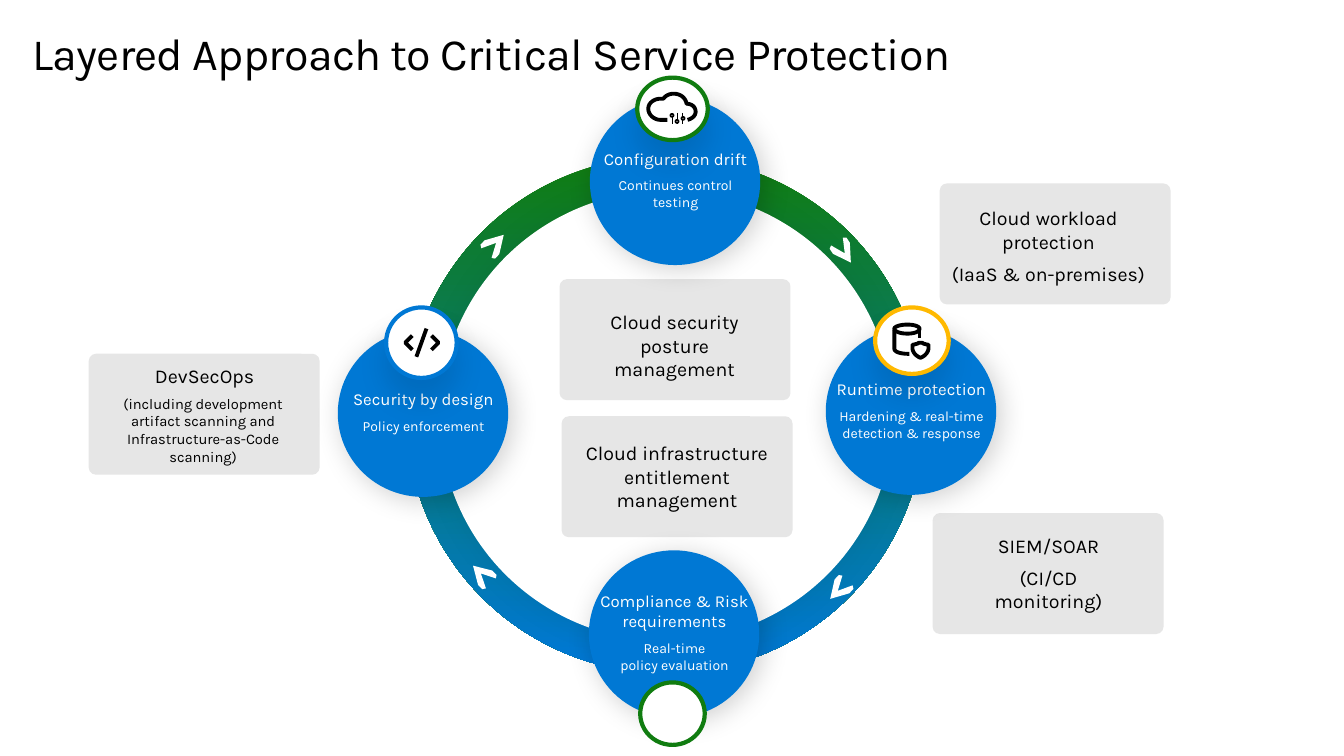
from dataclasses import dataclass

from lxml import etree
from pptx import Presentation
from pptx.dml.color import RGBColor
from pptx.enum.shapes import MSO_SHAPE
from pptx.enum.text import MSO_ANCHOR, MSO_AUTO_SIZE, PP_ALIGN
from pptx.oxml.ns import qn
from pptx.util import Inches, Pt

OVAL = MSO_SHAPE.OVAL
ROUNDED = MSO_SHAPE.ROUNDED_RECTANGLE
MIDDLE = MSO_ANCHOR.MIDDLE
TOP = MSO_ANCHOR.TOP
GROW = MSO_AUTO_SIZE.SHAPE_TO_FIT_TEXT
FIXED = MSO_AUTO_SIZE.NONE
LEFT = PP_ALIGN.LEFT
CENTER = PP_ALIGN.CENTER


@dataclass(frozen=True)
class Theme:
    font: str = "Karla"
    black: str = "000000"
    white: str = "FFFFFF"
    blue: str = "0078D4"
    green: str = "107C10"
    amber: str = "FFB900"
    gray: str = "E6E6E6"
    title: float = 32
    label: float = 14
    stage: float = 12
    note: float = 10.5
    detail: float = 10
    badge_line: float = 3
    icon_line: float = 2.75
    fine_line: float = 1.25


def outline_points(commands):
    strokes = []
    for chunk in commands.split("M")[1:]:
        closed = chunk.strip().endswith("Z")
        tokens = chunk.replace("Z", "").split()
        points = [(float(tokens[0]), float(tokens[1]))]
        curve = False
        numbers = []
        for token in tokens[2:]:
            if token in "LC":
                curve = token == "C"
                continue
            numbers.append(float(token))
            if len(numbers) == (6 if curve else 2):
                ends = [points[-1], *zip(numbers[::2], numbers[1::2])]
                points += bezier(ends) if curve else ends[1:]
                numbers = []
        strokes.append((points, closed))
    return strokes


def bezier(ends, steps=8):
    points = []
    for step in range(1, steps + 1):
        t = step / steps
        weights = ((1 - t) ** 3, 3 * t * (1 - t) ** 2, 3 * t * t * (1 - t), t ** 3)
        points.append(tuple(sum(w * end[axis] for w, end in zip(weights, ends))
                            for axis in (0, 1)))
    return points


class Painter:
    def __init__(self, page, theme):
        self.page = page
        self.theme = theme

    def paint(self, shape, fill=None, line=None, width=1, shadow=None):
        shape.shadow.inherit = False
        if fill:
            shape.fill.solid()
            shape.fill.fore_color.rgb = RGBColor.from_string(fill)
        else:
            shape.fill.background()
        if line:
            shape.line.color.rgb = RGBColor.from_string(line)
            shape.line.width = Pt(width)
        else:
            shape.line.fill.background()
        if shadow:
            self.cast_shadow(shape, *shadow)
        return shape

    def cast_shadow(self, shape, alpha, blur, distance, angle):
        effects = shape.element.spPr.find(qn("a:effectLst"))
        outer = etree.SubElement(effects, qn("a:outerShdw"), blurRad=str(Pt(blur)),
                                 dist=str(Pt(distance)), dir=str(angle * 60000),
                                 algn="ctr", rotWithShape="0")
        color = etree.SubElement(outer, qn("a:srgbClr"), val=self.theme.black)
        etree.SubElement(color, qn("a:alpha"), val=str(alpha * 1000))

    def shape(self, kind, area, fill, **style):
        shape = self.page.shapes.add_shape(kind, *map(Inches, area))
        return self.paint(shape, fill, **style)

    def ring(self, outer, inner):
        band = self.shape(OVAL, outer, self.theme.blue)
        band.fill.gradient()
        band.fill.gradient_angle = 270
        stops = zip(band.fill.gradient_stops, (0, 0.98), (self.theme.green, self.theme.blue))
        for stop, position, color in stops:
            stop.position = position
            stop.color.rgb = RGBColor.from_string(color)
        self.shape(OVAL, inner, self.theme.white, shadow=(5, 20, 0, 0))

    def card(self, left, top):
        card = self.shape(ROUNDED, (left, top, 2.29, 1.2), self.theme.gray)
        card.adjustments[0] = 0.06

    def add_text(self, para, text, size, color):
        for index, part in enumerate(text.split("\n")):
            if index:
                para.add_line_break()
            span = para.add_run()
            span.text = part
            span.font.name = self.theme.font
            span.font.size = Pt(size)
            span.font.color.rgb = RGBColor.from_string(color)

    def text(self, area, lines, color, after=6):
        box = self.page.shapes.add_textbox(*map(Inches, area))
        frame = box.text_frame
        frame.word_wrap = True
        frame.vertical_anchor = MIDDLE
        frame.auto_size = GROW
        for index, (text, size) in enumerate(lines):
            para = frame.add_paragraph() if index else frame.paragraphs[0]
            para.alignment = CENTER
            para.space_after = Pt(after)
            self.add_text(para, text, size, color)

    def title(self, area, text):
        box = self.page.shapes.title
        box.left, box.top, box.width, box.height = map(Inches, area)
        frame = box.text_frame
        frame.margin_left = frame.margin_top = frame.margin_right = frame.margin_bottom = 0
        frame.word_wrap = True
        frame.auto_size = FIXED
        frame.vertical_anchor = TOP
        para = frame.paragraphs[0]
        para.alignment = LEFT
        self.add_text(para, text, self.theme.title, self.theme.black)
        for properties in box.element.iter(qn("a:rPr")):
            properties.set("spc", "-50")

    def stage(self, left, top, text_top, text_height, name, detail):
        self.shape(OVAL, (left, top, 1.69, 1.66), self.theme.blue, shadow=(19, 20, 4, 45))
        self.text((left - 0.03, text_top, 1.76, text_height),
                  [(name, self.theme.stage), (detail, self.theme.detail)], self.theme.white)

    def badge(self, area, color, shadow=(10, 20, 15, 90)):
        self.shape(OVAL, area, self.theme.white, line=color,
                   width=self.theme.badge_line, shadow=shadow)

    def outline(self, commands, fill=None, line=None, width=1):
        builder = None
        for points, closed in outline_points(commands):
            start, *rest = [(Inches(x), Inches(y)) for x, y in points]
            if builder is None:
                builder = self.page.shapes.build_freeform(*start)
            else:
                builder.move_to(*start)
            builder.add_line_segments(rest, close=closed)
        return self.paint(builder.convert_to_shape(), fill, line, width)

    def chevron(self, center_x, center_y, angle):
        chevron = self.outline("M 0 0.1 L 0.17 0 0.23 0 0.25 0.03 0.11 0.1 "
                               "0.25 0.17 0.23 0.2 0.17 0.2 Z", self.theme.white)
        chevron.left = Inches(center_x) - chevron.width // 2
        chevron.top = Inches(center_y) - chevron.height // 2
        chevron.rotation = angle


CODE = "M 4.09 3.47 L 4.02 3.4 4.09 3.33 M 4.28 3.47 L 4.35 3.4 4.28 3.33 M 4.13 3.54 L 4.23 3.26"
SHIELD = ("M 9.21 3.45 C 9.21 3.49 9.18 3.53 9.13 3.55 9.08 3.53 9.05 3.49 9.05 3.45 "
          "L 9.05 3.42 C 9.07 3.42 9.09 3.41 9.1 3.41 9.11 3.4 9.12 3.4 9.13 3.4 "
          "9.14 3.4 9.15 3.4 9.16 3.41 9.17 3.41 9.19 3.42 9.21 3.42 Z")
DATABASE = ("M 9.02 3.51 L 9 3.51 C 8.93 3.51 8.87 3.49 8.87 3.46 L 8.87 3.27 "
            "M 9.12 3.27 L 9.12 3.35 M 9 3.22 C 8.93 3.22 8.87 3.24 8.87 3.26 "
            "8.87 3.29 8.93 3.31 9 3.31 9.07 3.31 9.12 3.29 9.12 3.26 9.12 3.24 9.07 3.22 9 3.22 Z")
CLOUD = ("M 6.62 1.19 L 6.55 1.19 C 6.49 1.19 6.43 1.14 6.43 1.08 6.43 1.02 6.49 0.98 6.55 0.98 "
         "6.56 0.98 6.57 0.98 6.58 0.98 6.6 0.95 6.64 0.93 6.68 0.93 6.75 0.93 6.8 0.97 6.81 1.03 "
         "6.86 1.03 6.9 1.06 6.9 1.11 6.9 1.15 6.86 1.18 6.82 1.19")
SLIDERS = ("M 6.67 1.12 L 6.67 1.13 M 6.67 1.16 L 6.67 1.23 M 6.72 1.12 L 6.72 1.19 "
           "M 6.72 1.21 L 6.72 1.23 M 6.77 1.12 L 6.77 1.16 M 6.77 1.19 L 6.77 1.23")
SLIDER_KNOBS = ((6.65, 1.13), (6.7, 1.19), (6.76, 1.16))


def main():
    deck = Presentation()
    deck.slide_width, deck.slide_height = Inches(13.33), Inches(7.5)
    theme = Theme()
    painter = Painter(deck.slides.add_slide(deck.slide_layouts[5]), theme)
    painter.title((0.32, 0.26, 12.05, 0.54), "Layered Approach to Critical Service Protection")
    painter.ring((4.03, 1.55, 5.14, 5.13), (4.36, 1.89, 4.5, 4.47))

    for corner in ((0.88, 3.51), (5.57, 4.13), (9.32, 1.82), (9.25, 5.09), (5.55, 2.77)):
        painter.card(*corner)
    for area, lines in (
        ((0.95, 3.56, 2.16, 0.34), ["DevSecOps"]),
        ((9.32, 1.99, 2.16, 0.89), ["Cloud workload protection", "(IaaS & on-premises)"]),
        ((9.6, 5.24, 1.6, 0.89), ["SIEM/SOAR", "(CI/CD monitoring)"]),
        ((5.7, 4.32, 2.03, 0.81), ["Cloud infrastructure entitlement management"]),
        ((5.73, 3.02, 1.92, 0.81), ["Cloud security posture management"]),
    ):
        painter.text(area, [(line, theme.label) for line in lines], theme.black)
    scanning = "(including development\nartifact scanning and Infrastructure-as-Code scanning)"
    painter.text((0.86, 3.86, 2.31, 0.81), [(scanning, theme.note)], theme.black, after=0)

    for stage in (
        (3.35, 3.27, 3.78, 0.61, "Security by design", "Policy enforcement"),
        (5.85, 0.97, 1.27, 1.02, "Configuration drift", "Continues control testing"),
        (8.19, 3.25, 3.56, 1.02, "Runtime protection", "Hardening & real-time detection & response"),
        (5.84, 5.46, 5.76, 1.02, "Compliance & Risk requirements", "Real-time\npolicy evaluation"),
    ):
        painter.stage(*stage)

    painter.badge((3.83, 3.05, 0.7, 0.7), theme.blue)
    painter.badge((8.68, 3.05, 0.73, 0.66), theme.amber)
    painter.badge((6.32, 0.77, 0.7, 0.62), theme.green)
    painter.badge((6.35, 6.77, 0.64, 0.62), theme.green, shadow=None)
    for icon in (CODE, SHIELD, DATABASE, CLOUD):
        painter.outline(icon, line=theme.black, width=theme.icon_line)
    painter.outline(SLIDERS, line=theme.black, width=theme.fine_line)
    for left, top in SLIDER_KNOBS:
        painter.shape(OVAL, (left, top, 0.03, 0.03), theme.white,
                      line=theme.black, width=theme.fine_line)

    for chevron in ((4.78, 5.7, 44.8), (8.32, 5.85, 313.3), (8.37, 2.5, 236.6), (4.91, 2.42, 133.4)):
        painter.chevron(*chevron)
    deck.save("out.pptx")


if __name__ == "__main__":
    main()
